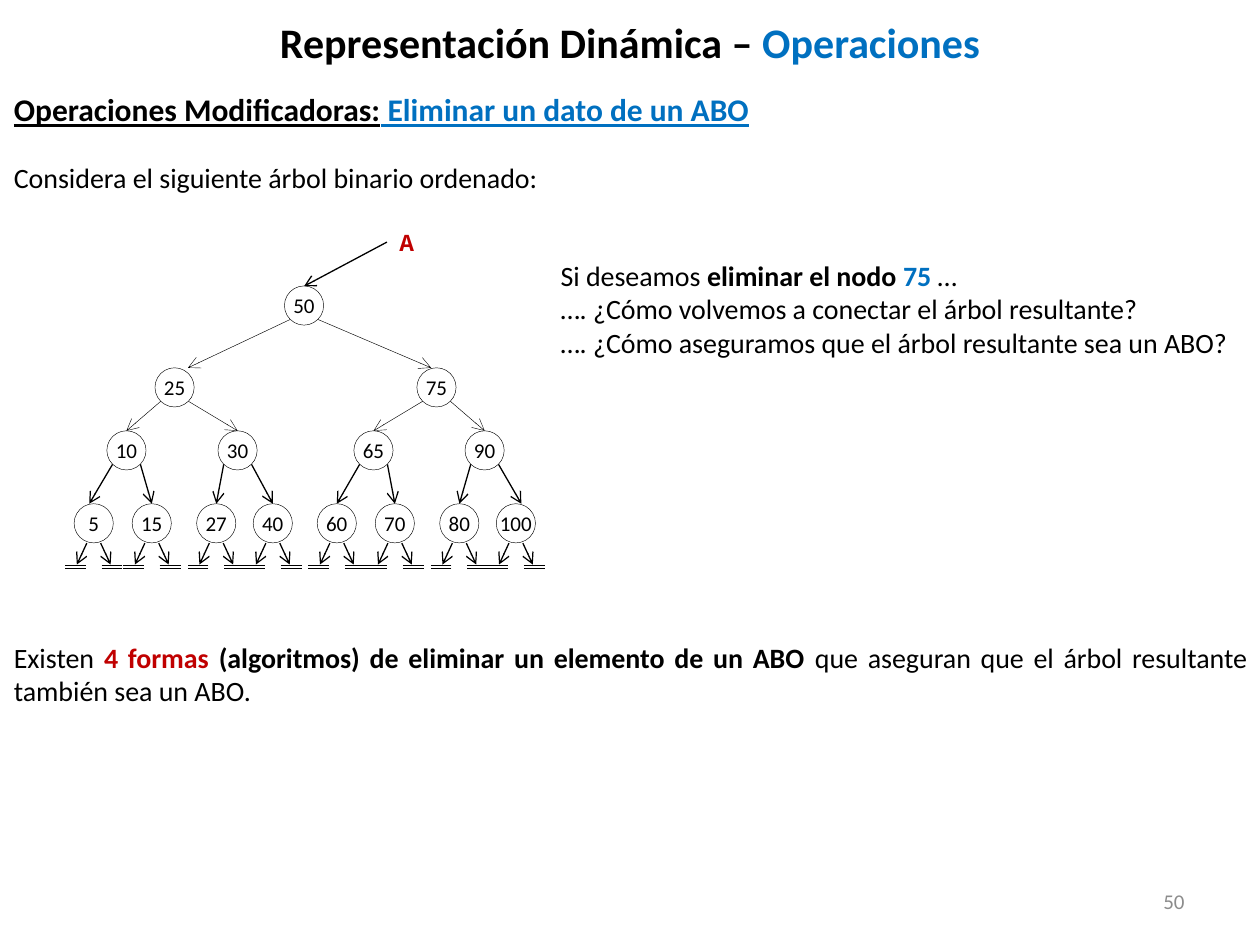
from lxml import etree
from pptx import Presentation
from pptx import util as u
from pptx.dml.color import RGBColor
from pptx.enum import shapes, text
from pptx.oxml import ns

COLOURS = {"black": "000000", "blue": "0070C0", "red": "C00000", "grey": "8C8C8C"}
ALIGN, ANCHOR = text.PP_ALIGN, text.MSO_ANCHOR

deck = Presentation()
deck.slide_width, deck.slide_height = u.Cm(25.4), u.Cm(19.05)
page = deck.slides.add_slide(deck.slide_layouts[6])


def write(frame, paragraphs, size, align=ALIGN.JUSTIFY, anchor=ANCHOR.TOP, font="Calibri"):
    """Fill a frame; each paragraph is a list of (words, colour, format values)."""
    frame.vertical_anchor = anchor
    for index, spans in enumerate(paragraphs):
        para = frame.add_paragraph() if index else frame.paragraphs[0]
        para.alignment = align
        for words, colour, extra in spans:
            span = para.add_run()
            span.text = words
            for key, value in {"name": font, "size": u.Pt(size), **extra}.items():
                setattr(span.font, key, value)
            span.font.color.rgb = RGBColor.from_string(COLOURS[colour])


def draw_line(x1, y1, x2, y2, width=0.75, arrow=True):
    """Draw a black line in centimetres, with an open arrowhead at its end if wanted."""
    line = page.shapes.add_connector(
        shapes.MSO_CONNECTOR.STRAIGHT, u.Cm(x1), u.Cm(y1), u.Cm(x2), u.Cm(y2))
    line.line.width = u.Pt(width)
    line.line.color.rgb = RGBColor.from_string(COLOURS["black"])
    if arrow:
        etree.SubElement(line.line._get_or_add_ln(), ns.qn("a:tailEnd"), type="arrow")
    etree.SubElement(line._element.spPr, ns.qn("a:effectLst"))


# Text blocks: place (left, top, width, height in cm), paragraphs, size, format values
bold, heading = {"bold": True}, {"bold": True, "underline": True}
blocks = [
    ((0, 0, 25.4, 1.7),
     [[("Representación Dinámica –", "black", bold), (" Operaciones", "blue", bold)]],
     24, {"align": ALIGN.CENTER, "anchor": ANCHOR.MIDDLE}),
    ((0.03, 1.7, 25.37, 1.02),
     [[("Operaciones Modificadoras:", "black", heading),
       (" Eliminar un dato de un ABO", "blue", heading)]], 18, {}),
    ((0.03, 3.12, 25.37, 0.94),
     [[("Considera el siguiente árbol binario ordenado:", "black", {})]], 16, {}),
    ((7.8, 4.45, 0.81, 0.86), [[("A", "red", bold)]], 14,
     {"align": ALIGN.LEFT, "font": "Courier New"}),
    ((11.05, 5.08, 14.35, 2.31),
     [[("Si deseamos ", "black", {}), ("eliminar el nodo ", "black", bold),
       ("75 ", "blue", bold), ("…", "black", {})],
      [("…. ¿Cómo volvemos a conectar el árbol resultante?", "black", {})],
      [("…. ¿Cómo aseguramos que el árbol resultante sea un ABO?", "black", {})]], 16, {}),
    ((0.03, 12.78, 25.37, 1.63),
     [[("Existen ", "black", {}), ("4 formas ", "red", bold),
       ("(algoritmos) de eliminar un elemento de un ABO ", "black", bold),
       ("que aseguran que el árbol resultante también sea un ABO.", "black", {})]], 16, {}),
    ((18.21, 17.65, 5.92, 1.02), [[("50", "grey", {})]], 12,
     {"align": ALIGN.RIGHT, "anchor": ANCHOR.MIDDLE}),
]
for place, paragraphs, size, layout in blocks:
    box = page.shapes.add_textbox(*map(u.Cm, place))
    box.text_frame.word_wrap = True
    write(box.text_frame, paragraphs, size, **layout)

# Tree levels: centre height, then (value, centre x, shift of the arriving arrow)
levels = [
    (6.16, [("50", 6.13, 0)]),
    (7.81, [("25", 3.52, 0.27), ("75", 8.8, -0.11)]),
    (9.08, [("10", 2.55, 0), ("30", 4.79, 0), ("65", 7.53, 0), ("90", 9.77, 0)]),
    (10.55, [("5", 1.89, -0.09), ("15", 3.06, 0), ("27", 4.36, 0), ("40", 5.5, 0),
             ("60", 6.79, 0), ("70", 7.96, 0), ("80", 9.26, 0), ("100", 10.4, 0.11)]),
]
DIAMETER = 0.79
RADIUS = DIAMETER / 2

# Root pointer
draw_line(7.8, 4.88, 6.13, 5.77)

for depth, (y, nodes) in enumerate(levels):
    is_leaf = depth == len(levels) - 1
    for index, (value, x, shift) in enumerate(nodes):
        # Node
        node = page.shapes.add_shape(
            shapes.MSO_SHAPE.OVAL, u.Cm(x - RADIUS), u.Cm(y - RADIUS),
            u.Cm(DIAMETER), u.Cm(DIAMETER))
        node.shadow.inherit = False
        node.fill.background()
        node.line.width = u.Pt(0.25)
        node.line.color.rgb = RGBColor.from_string(COLOURS["black"])
        frame = node.text_frame
        for side in ("left", "right", "top", "bottom"):
            setattr(frame, f"margin_{side}", 0)
        frame.word_wrap = False
        write(frame, [[(value, "black", {})]], 12, ALIGN.CENTER, ANCHOR.MIDDLE)

        # Arrow from the parent
        if depth:
            parent_y, parents = levels[depth - 1]
            parent_x = parents[index // 2][1]
            side = 1 if index % 2 else -1
            draw_line(parent_x + side * 0.28, parent_y + 0.28, x + shift, y - RADIUS,
                      0.75 if is_leaf else 0.25)

        # Empty links below each leaf
        if is_leaf:
            for side in (-1, 1):
                draw_line(x + side * 0.14, 10.95, x + side * 0.34, 11.38)
                for ground_y in (11.4, 11.46):
                    draw_line(x + side * 0.16, ground_y, x + side * 0.58, ground_y, arrow=False)

deck.save("out.pptx")
